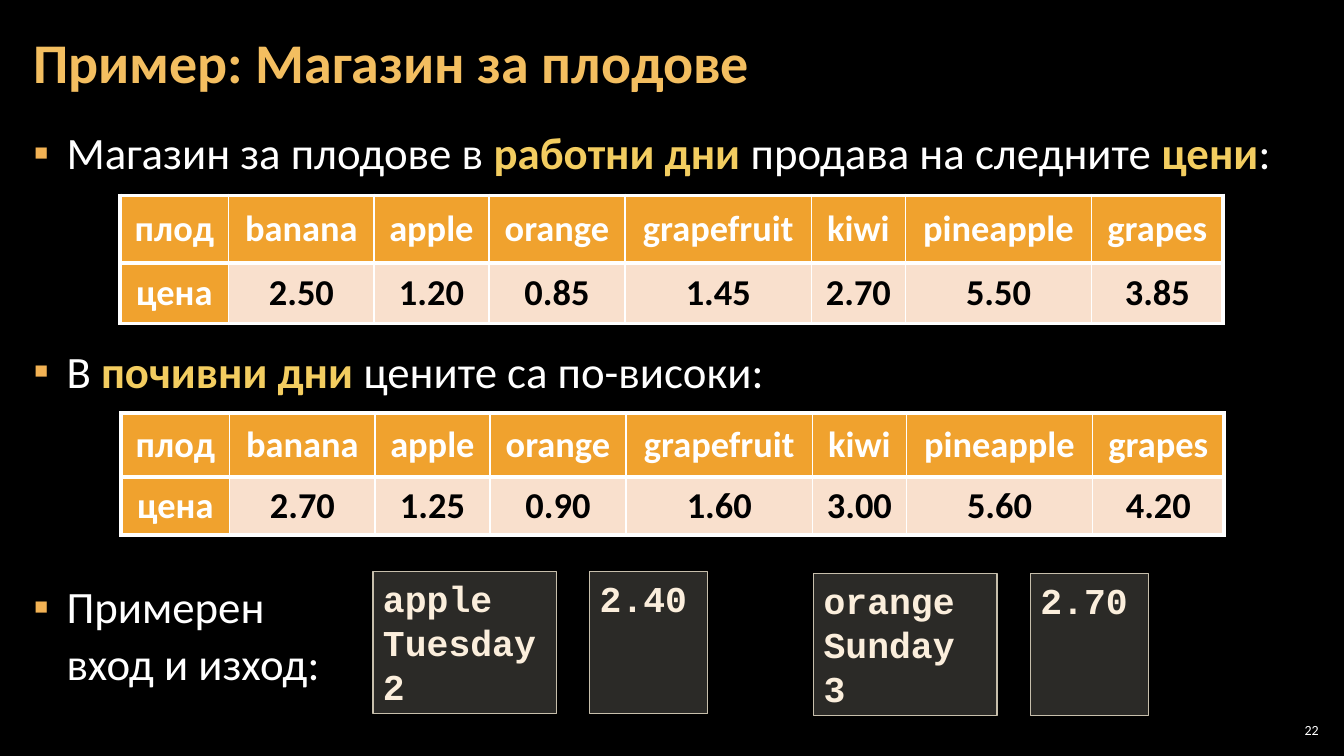
"""Build the fruit shop example slide: two price tables and sample input and output."""
from pptx import Presentation
from pptx import util as u
from pptx.dml.color import RGBColor
from pptx.enum import shapes, text
from pptx.oxml import parse_xml
from pptx.oxml.ns import nsdecls

BLACK = RGBColor(0x00, 0x00, 0x00)
WHITE = RGBColor(0xFF, 0xFF, 0xFF)
TITLE = RGBColor(0xF3, 0xBE, 0x60)
BULLET = RGBColor(0xF2, 0xB2, 0x54)
ACCENT = RGBColor(0xF3, 0xCD, 0x60)
ORANGE = RGBColor(0xF0, 0xA2, 0x2E)
PEACH = RGBColor(0xF9, 0xE0, 0xCD)
BOX_FILL = RGBColor(0xD9, 0xD5, 0xC7)
BOX_LINE = RGBColor(0xC7, 0xBF, 0xAC)
BOX_TEXT = RGBColor(0xFB, 0xEE, 0xDC)


def add_run(p, words, size, color, bold=False, font="Calibri"):
    r = p.add_run()
    r.text = words
    r.font.name = font
    r.font.size = u.Pt(size)
    r.font.bold = bold
    r.font.color.rgb = color


def place(sp, left, top, width, height):
    sp.left, sp.top = u.Inches(left), u.Inches(top)
    sp.width, sp.height = u.Inches(width), u.Inches(height)
    tf = sp.text_frame
    tf.word_wrap = True
    tf.auto_size = text.MSO_AUTO_SIZE.NONE
    tf.margin_left = tf.margin_right = u.Inches(0.12)
    tf.margin_top = tf.margin_bottom = u.Inches(0.04)
    return tf


prs = Presentation()
prs.slide_width, prs.slide_height = u.Inches(13.33), u.Inches(7.5)
slide = prs.slides.add_slide(prs.slide_layouts[1])
slide.background.fill.solid()
slide.background.fill.fore_color.rgb = BLACK

tf = place(slide.shapes.title, 0.21, 0.04, 10.47, 1.21)
tf.vertical_anchor = text.MSO_ANCHOR.MIDDLE
p = tf.paragraphs[0]
p.alignment = text.PP_ALIGN.LEFT
p.line_spacing = 0.9
add_run(p, "Пример: Магазин за плодове", 40, TITLE, True)

bullets = [
    (6, [("Магазин за плодове в ", False), ("работни дни ", True),
         ("продава на следните ", False), ("цени", True), (":", False)]),
    (110, [("В ", False), ("почивни дни ", True), ("цените са по-високи:", False)]),
    (122, [("Примерен\vвход и изход:", False)]),
]
tf = place(slide.placeholders[1], 0.21, 1.17, 12.91, 6.09)
tf.vertical_anchor = text.MSO_ANCHOR.TOP
for i, (space, runs) in enumerate(bullets):
    p = tf.add_paragraph() if i else tf.paragraphs[0]
    p.line_spacing = 1.05
    p.space_before, p.space_after = u.Pt(space), u.Pt(6)
    pPr = p._p.get_or_add_pPr()
    pPr.set("marL", str(u.Inches(0.33)))
    pPr.set("indent", str(-u.Inches(0.33)))
    pPr.append(parse_xml(f'<a:buClr {nsdecls("a")}><a:srgbClr val="{BULLET}"/></a:buClr>'))
    pPr.append(parse_xml(f'<a:buChar {nsdecls("a")} char="▪"/>'))
    for words, strong in runs:
        for n, line in enumerate(words.split("\v")):
            if n:
                p.add_line_break()
            add_run(p, line, 32, ACCENT if strong else WHITE, strong)

fruits = ["плод", "banana", "apple", "orange", "grapefruit", "kiwi", "pineapple", "grapes"]
col_widths = [1.08, 1.44, 1.14, 1.35, 1.85, 0.93, 1.85, 1.3]
price_tables = [
    (1.19, 1.94, [0.67, 0.6], ["2.50", "1.20", "0.85", "1.45", "2.70", "5.50", "3.85"]),
    (1.2, 4.1, [0.63, 0.58], ["2.70", "1.25", "0.90", "1.60", "3.00", "5.60", "4.20"]),
]
for left, top, row_heights, prices in price_tables:
    frame = slide.shapes.add_table(2, len(fruits), u.Inches(left), u.Inches(top),
                                   u.Inches(sum(col_widths)), u.Inches(sum(row_heights)))
    table = frame.table
    for col, width in zip(table.columns, col_widths):
        col.width = u.Inches(width)
    for row, height in zip(table.rows, row_heights):
        row.height = u.Inches(height)
    for r, values in enumerate([fruits, ["цена"] + prices]):
        for c, value in enumerate(values):
            cell = table.cell(r, c)
            heading = r == 0 or c == 0
            cell.vertical_anchor = text.MSO_ANCHOR.MIDDLE
            cell.margin_left = cell.margin_right = u.Inches(0.07)
            cell.margin_top = cell.margin_bottom = 0
            cell.fill.solid()
            cell.fill.fore_color.rgb = ORANGE if heading else PEACH
            p = cell.text_frame.paragraphs[0]
            p.alignment = text.PP_ALIGN.CENTER
            add_run(p, value, 26, WHITE if heading else BLACK, True)
            borders = {"lnL": 3 if c == 0 else 1,
                       "lnR": 3 if c == len(fruits) - 1 else 1,
                       "lnT": 3, "lnB": 3}
            tcPr = cell._tc.get_or_add_tcPr()
            for i, (side, points) in enumerate(borders.items()):
                tcPr.insert(i, parse_xml(
                    f'<a:{side} {nsdecls("a")} w="{u.Pt(points)}"><a:solidFill>'
                    f'<a:srgbClr val="{WHITE}"/></a:solidFill></a:{side}>'))

samples = [
    (3.7, 5.67, 1.82, ["apple", "Tuesday", "2"]),
    (5.85, 5.67, 1.17, ["2.40"]),
    (8.07, 5.69, 1.82, ["orange", "Sunday", "3"]),
    (10.22, 5.69, 1.17, ["2.70"]),
]
for left, top, width, lines in samples:
    sp = slide.shapes.add_shape(shapes.MSO_SHAPE.RECTANGLE, u.Inches(left), u.Inches(top),
                                u.Inches(width), u.Inches(1.41))
    sp.shadow.inherit = False
    sp.fill.solid()
    sp.fill.fore_color.rgb = BOX_FILL
    color = sp.fill._xPr.find(".//{*}srgbClr")
    color.append(parse_xml(f'<a:alpha {nsdecls("a")} val="20000"/>'))
    sp.line.color.rgb = BOX_LINE
    sp.line.width = u.Pt(1)
    tf = sp.text_frame
    tf.word_wrap = True
    tf.vertical_anchor = text.MSO_ANCHOR.TOP
    for i, line in enumerate(lines):
        p = tf.add_paragraph() if i else tf.paragraphs[0]
        p.alignment = text.PP_ALIGN.LEFT
        add_run(p, line, 26, BOX_TEXT, True, "Courier New")

tf = place(slide.shapes.add_textbox(0, 0, 0, 0), 12.65, 7.14, 0.47, 0.21)
tf.margin_left = tf.margin_right = u.Inches(0.04)
tf.vertical_anchor = text.MSO_ANCHOR.MIDDLE
p = tf.paragraphs[0]
p.alignment = text.PP_ALIGN.RIGHT
add_run(p, "22", 10, WHITE)

prs.save("out.pptx")
